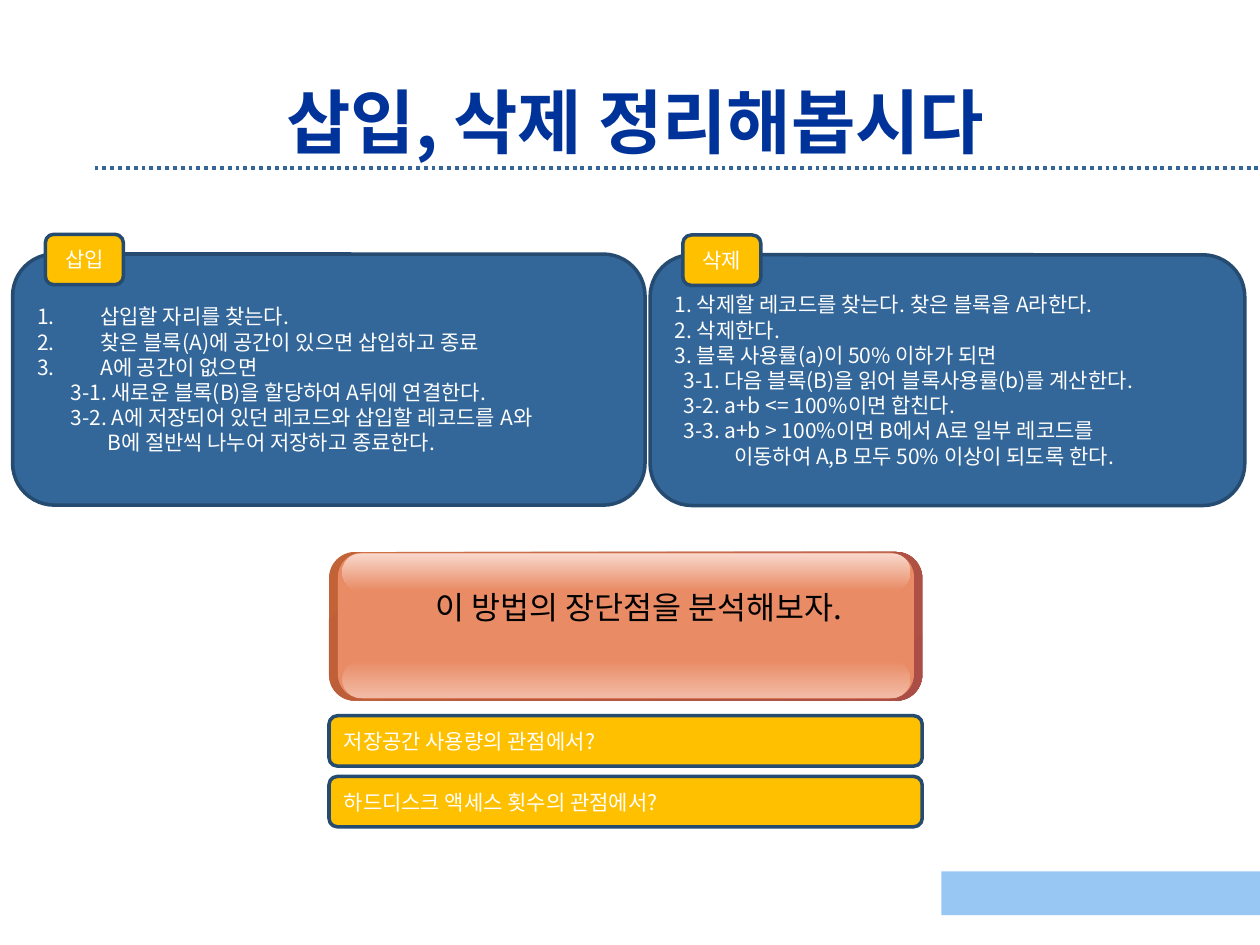
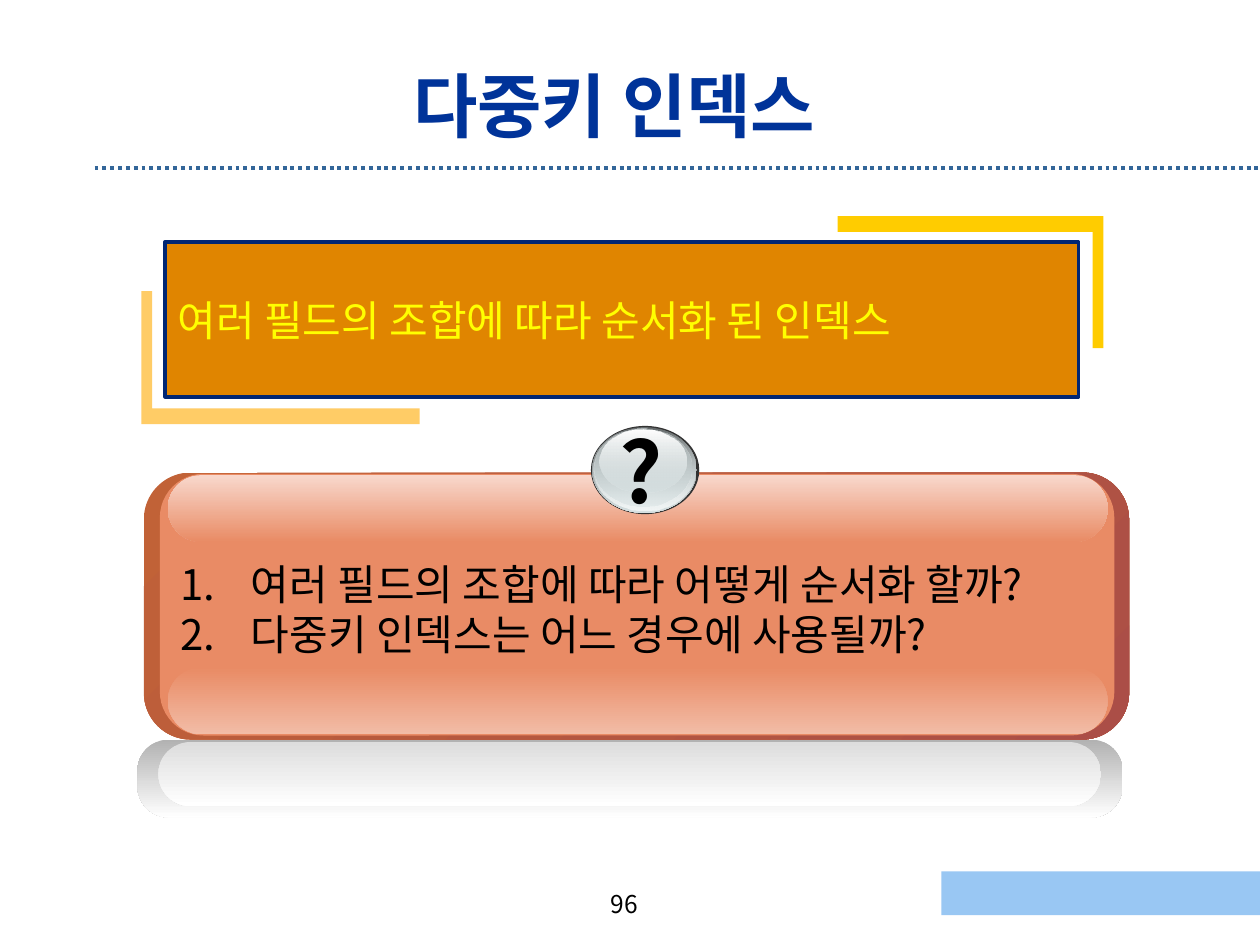
from dataclasses import dataclass
from typing import NamedTuple

from lxml import etree
from pptx import Presentation
from pptx.dml.color import RGBColor
from pptx.enum.dml import MSO_LINE
from pptx.enum.shapes import MSO_CONNECTOR, MSO_SHAPE
from pptx.enum.text import MSO_ANCHOR, PP_ALIGN
from pptx.oxml.ns import qn
from pptx.util import Pt

ROUNDED = MSO_SHAPE.ROUNDED_RECTANGLE
RECTANGLE = MSO_SHAPE.RECTANGLE
OVAL = MSO_SHAPE.OVAL
STRAIGHT = MSO_CONNECTOR.STRAIGHT
DOTTED = MSO_LINE.ROUND_DOT
LEFT = PP_ALIGN.LEFT
CENTER = PP_ALIGN.CENTER
TOP = MSO_ANCHOR.TOP
MIDDLE = MSO_ANCHOR.MIDDLE


@dataclass(frozen=True)
class Theme:
    font: str = "Noto Sans CJK KR"
    title: str = "003399"
    text: str = "000000"
    light: str = "FFFFFF"
    card: str = "336699"
    card_line: str = "264B71"
    tag: str = "FFC000"
    footer: str = "99C7F3"
    panel: str = "E98B65"
    panel_frame: tuple = ("C16237", "AB4E47")
    panel_top: tuple = ("F8D8CC", "E98B65")
    panel_bottom: tuple = ("E98B65", "F2BCA6")
    reflection: tuple = ("B2B2B2", "FFFFFF")
    reflection_gloss: tuple = ("DDDDDD", "FFFFFF")
    definition: str = "E08500"
    definition_line: str = "002673"
    definition_text: str = "FFFF00"
    bracket_low: str = "FFCC66"
    bracket_high: str = "FFCC00"
    badge: str = "333333"
    badge_rim: tuple = ("636869", "D6E1E2")
    badge_light: tuple = ("D6E1E2", "F1F5F5")
    badge_face: tuple = ("AAB2B3", "D6E1E2")
    badge_gloss: tuple = ("FFFFFF", "D6E1E2")
    title_size: int = 40
    badge_size: int = 48
    large_size: int = 24
    medium_size: int = 18
    page_size: int = 14
    small_size: int = 12


THEME = Theme()


class Line(NamedTuple):
    text: str
    indent: float = 0
    numbered: bool = False


def indent_paragraph(paragraph, line):
    properties = paragraph._p.get_or_add_pPr()
    properties.set("marL", str(Pt(line.indent)))
    if line.numbered:
        properties.set("indent", str(-Pt(line.indent)))
        etree.SubElement(properties, qn("a:buAutoNum"), type="arabicPeriod")


def set_text(shape, lines, size, color, align=LEFT, anchor=MIDDLE, bold=False, wrap=True):
    lines = [Line(lines)] if isinstance(lines, str) else lines
    frame = shape.text_frame
    frame.text = "\n".join(line.text for line in lines)
    frame.word_wrap = wrap
    frame.vertical_anchor = anchor
    for paragraph, line in zip(frame.paragraphs, lines):
        if line.indent:
            indent_paragraph(paragraph, line)
        paragraph.alignment = align
        for run in paragraph.runs:
            font = run.font
            font.size = Pt(size)
            font.bold = bold
            font.color.rgb = RGBColor.from_string(color)
            font.name = THEME.font
            latin = run._r.get_or_add_rPr().find(qn("a:latin"))
            east_asian = etree.Element(qn("a:ea"), typeface=THEME.font)
            latin.addnext(east_asian)


def add_text(slide, box, lines, size, color=THEME.text, **options):
    shape = slide.shapes.add_textbox(*map(Pt, box))
    set_text(shape, lines, size, color, **options)


def paint(shape, fill, angle=90, opacity=(100, 100)):
    shape.shadow.inherit = False
    shape.line.fill.background()
    if isinstance(fill, str):
        shape.fill.solid()
        shape.fill.fore_color.rgb = RGBColor.from_string(fill)
        return
    shape.fill.gradient()
    shape.fill.gradient_angle = 360 - angle
    for stop, color, percent in zip(shape.fill.gradient_stops, fill, opacity):
        stop.color.rgb = RGBColor.from_string(color)
    for color, percent in zip(shape._element.spPr.iter(qn("a:srgbClr")), opacity):
        if percent < 100:
            etree.SubElement(color, qn("a:alpha"), val=str(percent * 1000))


def add_block(slide, kind, box, fill, outline=None, corner=None, **options):
    shape = slide.shapes.add_shape(kind, *map(Pt, box))
    paint(shape, fill, **options)
    if outline:
        shape.line.color.rgb = RGBColor.from_string(outline)
        shape.line.width = Pt(2)
    if corner is not None:
        shape.adjustments[0] = corner
    return shape


def add_card(slide, box, label, lines):
    left, top = box[:2]
    card = add_block(slide, ROUNDED, box, THEME.card, THEME.card_line)
    set_text(card, lines, THEME.small_size, THEME.light)
    tag_box = (left + 18.7, top - 11.3, 44.6, 28.8)
    tag = add_block(slide, ROUNDED, tag_box, THEME.tag, THEME.card_line)
    set_text(tag, label, THEME.small_size, THEME.light, align=CENTER)


def add_question_bar(slide, box, text):
    bar = add_block(slide, ROUNDED, box, THEME.tag, THEME.card_line)
    set_text(bar, text, THEME.small_size, THEME.light)


def add_glossy_panel(slide, box):
    left, top, width, height = box
    add_block(slide, ROUNDED, box, THEME.panel_frame, corner=0.175, angle=45)
    face = (left + 0.06 * height, top + 0.005 * height, width - 0.115 * height, 0.98 * height)
    add_block(slide, ROUNDED, face, THEME.panel, corner=0.167)
    for offset, fill in ((0.73, THEME.panel_bottom), (0.01, THEME.panel_top)):
        band = (left + 0.09 * height, top + offset * height, width - 0.17 * height, height / 4)
        add_block(slide, ROUNDED, band, fill, corner=0.5)


def add_bracket(slide, corner, across, down, color):
    x, y = corner
    thick_x = 6.2 if across > 0 else -6.2
    thick_y = 9 if down > 0 else -9
    points = [
        (x, y + down), (x + thick_x, y + down), (x + thick_x, y + thick_y),
        (x + across, y + thick_y), (x + across, y),
    ]
    builder = slide.shapes.build_freeform(Pt(x), Pt(y))
    builder.add_line_segments([(Pt(a), Pt(b)) for a, b in points], close=True)
    paint(builder.convert_to_shape(), color)


def add_question_badge(slide):
    layers = [
        ((337.7, 243.4, 61.9, 50.4), THEME.badge, (100, 100)),
        ((338.4, 244.1, 59.8, 49), THEME.badge_rim, (100, 100)),
        ((339.1, 244.1, 58.3, 47.5), THEME.badge_light, (0, 100)),
        ((339.8, 244.8, 55.4, 44.6), THEME.badge_face, (100, 48)),
        ((342.7, 245.5, 49.7, 36), THEME.badge_gloss, (100, 38)),
    ]
    for box, fill, opacity in layers:
        add_block(slide, OVAL, box, fill, opacity=opacity)
    add_text(slide, (347, 236.2, 41.8, 65.5), "?", THEME.badge_size,
             anchor=TOP, bold=True, wrap=False)


def add_slide(presentation, title, title_box):
    slide = presentation.slides.add_slide(presentation.slide_layouts[6])
    rule = slide.shapes.add_connector(STRAIGHT, Pt(54), Pt(96), Pt(720), Pt(96))
    rule.line.color.rgb = RGBColor.from_string(THEME.card)
    rule.line.width = Pt(2.25)
    rule.line.dash_style = DOTTED
    etree.SubElement(rule._element.spPr, qn("a:effectLst"))
    add_block(slide, RECTANGLE, (538, 498, 182, 25), THEME.footer)
    add_text(slide, title_box, title, THEME.title_size, THEME.title, align=CENTER, bold=True)
    return slide


def build_summary(presentation):
    slide = add_slide(presentation, "삽입, 삭제 정리해봅시다", (54, 48, 618, 42))
    add_card(slide, (7.2, 145.2, 361.4, 143.5), "삽입", [
        Line("삽입할 자리를 찾는다.", 36, True),
        Line("찾은 블록(A)에 공간이 있으면 삽입하고 종료", 36, True),
        Line("A에 공간이 없으면", 36, True),
        Line("3-1. 새로운 블록(B)을 할당하여 A뒤에 연결한다.", 19),
        Line("3-2. A에 저장되어 있던 레코드와 삽입할 레코드를 A와", 19),
        Line("B에 절반씩 나누어 저장하고 종료한다.", 40),
    ])
    add_card(slide, (371.5, 145.6, 339.8, 143.3), "삭제", [
        Line("1. 삭제할 레코드를 찾는다. 찾은 블록을 A라한다."),
        Line("2. 삭제한다."),
        Line("3. 블록 사용률(a)이 50% 이하가 되면"),
        Line("3-1. 다음 블록(B)을 읽어 블록사용률(b)를 계산한다.", 5),
        Line("3-2. a+b <= 100%이면 합친다.", 5),
        Line("3-3. a+b > 100%이면 B에서 A로 일부 레코드를", 5),
        Line("이동하여 A,B 모두 50% 이상이 되도록 한다.", 34),
    ])
    add_glossy_panel(slide, (188, 315.4, 339, 85))
    add_text(slide, (215.3, 332.6, 299.5, 28.8), "이 방법의 장단점을 분석해보자.",
             THEME.medium_size, align=CENTER, anchor=TOP)
    questions = ["저장공간 사용량의 관점에서?", "하드디스크 액세스 횟수의 관점에서?"]
    for index, question in enumerate(questions):
        add_question_bar(slide, (188, 409 + 34.7 * index, 339, 28.8), question)


def build_multikey_index(presentation):
    slide = add_slide(presentation, "다중키 인덱스", (54, 36, 594, 48))
    add_text(slide, (293.8, 504.7, 126, 26), "96", THEME.page_size, align=CENTER, anchor=TOP)
    add_bracket(slide, (80.8, 242.4), 159, -76, THEME.bracket_low)
    add_bracket(slide, (630.6, 123.5), -152, 75.5, THEME.bracket_high)
    definition = add_block(slide, RECTANGLE, (94.3, 138.2, 522, 88.6),
                           THEME.definition, THEME.definition_line)
    set_text(definition, "여러 필드의 조합에 따라 순서화 된 인덱스",
             THEME.large_size, THEME.definition_text)
    add_glossy_panel(slide, (82.2, 270, 563, 152.6))
    add_text(slide, (95.8, 315.4, 535.7, 65.5), [
        Line("여러 필드의 조합에 따라 어떻게 순서화 할까?", 40.5, True),
        Line("다중키 인덱스는 어느 경우에 사용될까?", 40.5, True),
    ], THEME.large_size, anchor=TOP)
    add_block(slide, ROUNDED, (78.5, 422.6, 563, 44.6), THEME.reflection, corner=0.404)
    add_block(slide, ROUNDED, (90.5, 424, 538.6, 36.7), THEME.reflection_gloss, corner=0.5)
    add_question_badge(slide)


def main():
    presentation = Presentation()
    presentation.slide_width = Pt(720)
    presentation.slide_height = Pt(540)
    build_summary(presentation)
    build_multikey_index(presentation)
    presentation.save("out.pptx")


if __name__ == "__main__":
    main()
